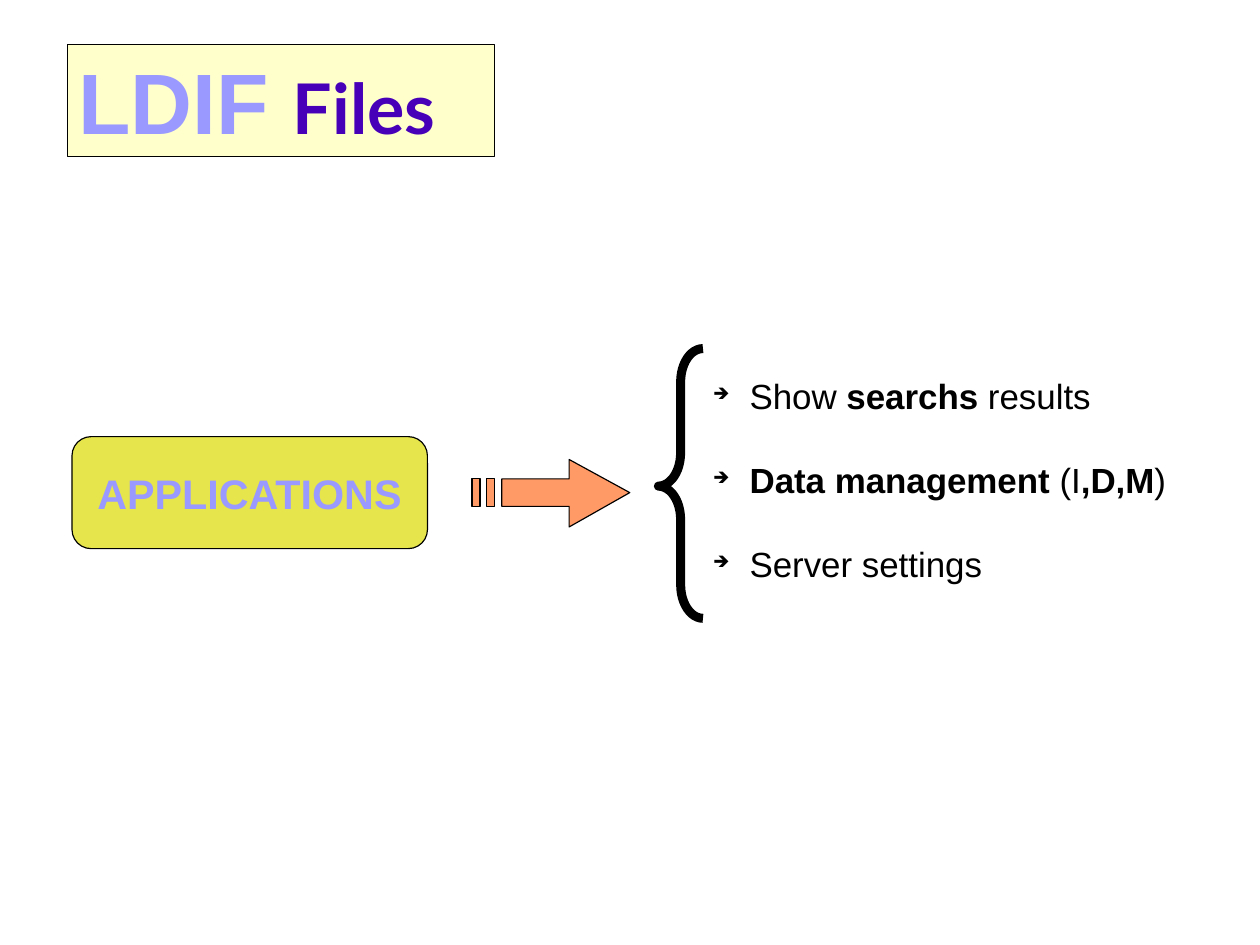
from dataclasses import dataclass

from lxml import etree
from pptx import Presentation
from pptx import util as u
from pptx.dml.color import RGBColor
from pptx.enum import shapes, text
from pptx.oxml.ns import qn


@dataclass(frozen=True)
class Theme:
    ink: str = "000000"
    lilac: str = "9999FF"
    violet: str = "4700B8"
    cream: str = "FFFFCC"
    olive: str = "E6E64C"
    orange: str = "FF9966"
    body_font: str = "Arial"
    accent_font: str = "Lato"
    title_size: float = 54
    subtitle_size: float = 44
    label_size: float = 26
    list_size: float = 22
    hairline: float = 0
    brace_line: float = 5.67


class Slide:
    def __init__(self, page, theme):
        self.page = page
        self.theme = theme

    def style(self, shape, fill, width):
        shape.shadow.inherit = False
        if fill:
            shape.fill.solid()
            shape.fill.fore_color.rgb = RGBColor.from_string(fill)
        else:
            shape.fill.background()
        shape.line.color.rgb = RGBColor.from_string(self.theme.ink)
        shape.line.width = u.Pt(width)

    def span(self, para, words, size, color, bold, font=None):
        span = para.add_run()
        span.text = words
        span.font.name = font or self.theme.body_font
        span.font.size = u.Pt(size)
        span.font.bold = bold
        span.font.color.rgb = RGBColor.from_string(color)

    def preset(self, kind, place, fill=None, width=None, adjustments=()):
        shape = self.page.shapes.add_shape(kind, *map(u.Inches, place))
        for index, value in enumerate(adjustments):
            shape.adjustments[index] = value
        self.style(shape, fill, self.theme.hairline if width is None else width)
        return shape

    def panel(self, kind, place, fill, spans, align, adjustments=()):
        box = self.preset(kind, place, fill, adjustments=adjustments)
        box.text_frame.word_wrap = True
        box.text_frame.vertical_anchor = text.MSO_ANCHOR.MIDDLE
        para = box.text_frame.paragraphs[0]
        para.alignment = align
        for words, size, color, font in spans:
            self.span(para, words, size, color, True, font)

    def bullets(self, place, items, hang):
        box = self.page.shapes.add_textbox(*map(u.Inches, place))
        frame = box.text_frame
        frame.word_wrap = True
        for index, item in enumerate(items):
            para = frame.add_paragraph() if index else frame.paragraphs[0]
            self.bullet(para, hang)
            if index:
                para.line_spacing = 2.0
            for words, bold in item:
                self.span(para, words, self.theme.list_size, self.theme.ink, bold)

    def bullet(self, para, hang):
        properties = para._p.get_or_add_pPr()
        properties.set("marL", str(u.Inches(hang)))
        properties.set("indent", str(-u.Inches(hang)))
        color = etree.SubElement(properties, qn("a:buClr"))
        etree.SubElement(color, qn("a:srgbClr"), val=self.theme.ink)
        etree.SubElement(properties, qn("a:buSzPct"), val="45000")
        etree.SubElement(properties, qn("a:buChar"), char="➔")

    def outline(self, contours, fill):
        first, *others = [
            [(u.Inches(x), u.Inches(y)) for x, y in contour] for contour in contours
        ]
        builder = self.page.shapes.build_freeform(*first[0])
        builder.add_line_segments(first[1:], close=True)
        for contour in others:
            builder.move_to(*contour[0])
            builder.add_line_segments(contour[1:], close=True)
        self.style(builder.convert_to_shape(), fill, self.theme.hairline)


def main():
    theme = Theme()
    deck = Presentation()
    deck.slide_width = u.Inches(28 / 2.54)
    deck.slide_height = u.Inches(21 / 2.54)
    slide = Slide(deck.slides.add_slide(deck.slide_layouts[6]), theme)
    kinds = shapes.MSO_SHAPE

    slide.panel(
        kinds.RECTANGLE, (0.59, 0.39, 3.74, 0.98), theme.cream,
        [("LDIF ", theme.title_size, theme.lilac, theme.body_font),
         ("Files", theme.subtitle_size, theme.violet, theme.accent_font)],
        text.PP_ALIGN.LEFT,
    )
    slide.panel(
        kinds.ROUNDED_RECTANGLE, (0.63, 3.82, 3.11, 0.98), theme.olive,
        [("APPLICATIONS", theme.label_size, theme.lilac, theme.body_font)],
        text.PP_ALIGN.CENTER, (0.17,),
    )
    slide.bullets(
        (6.14, 3.23, 4.2, 1.81),
        [
            [("Show ", False), ("searchs", True), (" results", False)],
            [("Data management", True), (" (I", False), (",D,M", True), (")", False)],
            [("Server settings", False)],
        ],
        hang=0.32,
    )
    slide.preset(kinds.LEFT_BRACE, (5.76, 3.05, 0.39, 2.36),
                 width=theme.brace_line, adjustments=(0.75, 0.51))

    top, bottom = 4.19, 4.43
    arrow = [(4.98, 4.02), (5.51, 4.31), (4.98, 4.61), (4.98, bottom),
             (4.39, bottom), (4.39, top), (4.98, top)]
    stripes = [
        [(left, top), (left, bottom), (left + 0.07, bottom), (left + 0.07, top)]
        for left in (4.13, 4.26)
    ]
    slide.outline([arrow, *stripes], theme.orange)

    deck.save("out.pptx")


if __name__ == "__main__":
    main()
